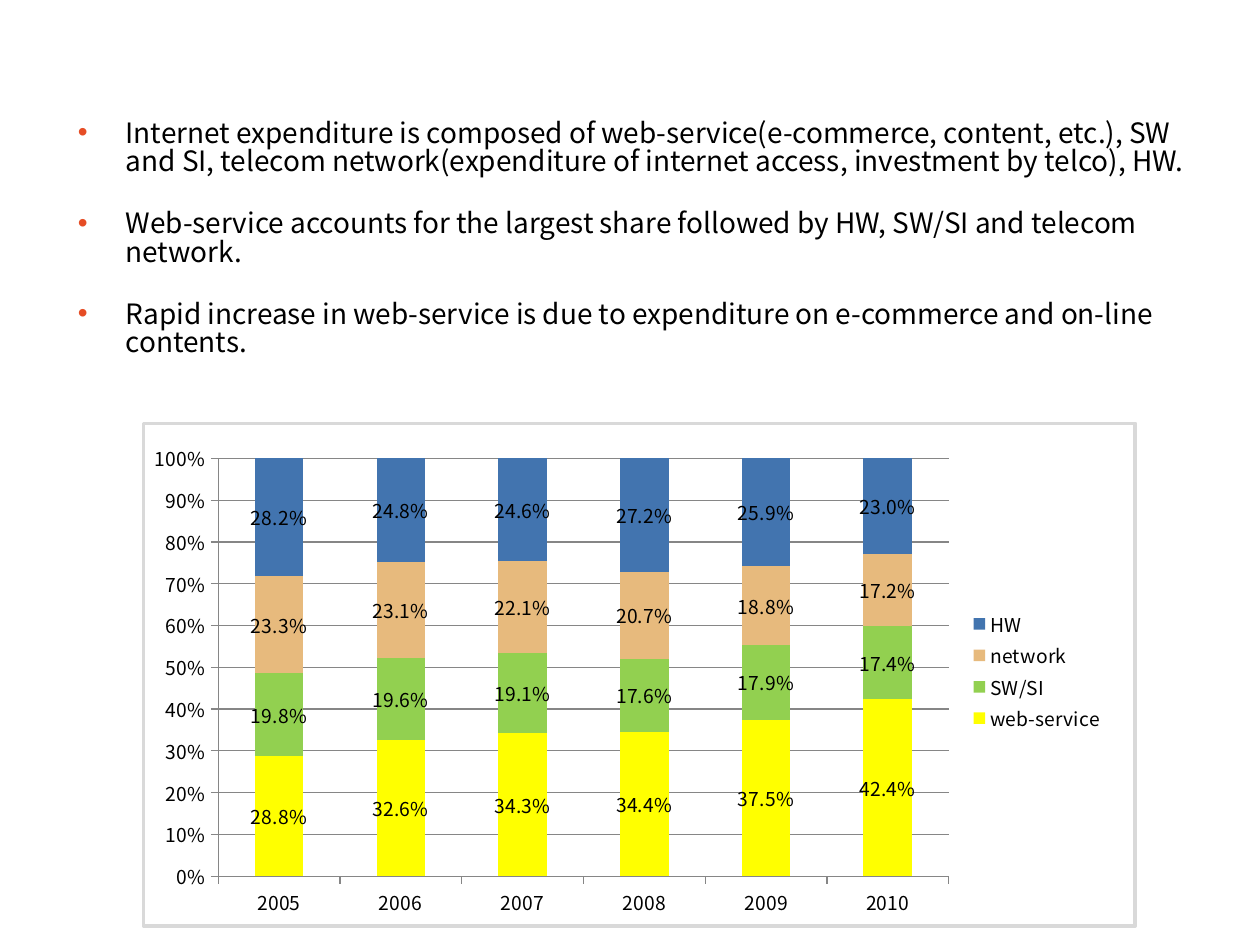
from dataclasses import dataclass

from lxml import etree
from pptx import Presentation
from pptx.chart.data import CategoryChartData
from pptx.dml.color import RGBColor
from pptx.enum.chart import XL_CHART_TYPE, XL_LEGEND_POSITION, XL_TICK_MARK
from pptx.enum.shapes import MSO_SHAPE
from pptx.oxml import parse_xml
from pptx.oxml.ns import nsdecls, qn
from pptx.util import Inches, Pt

STACKED_100 = XL_CHART_TYPE.COLUMN_STACKED_100
LEGEND_RIGHT = XL_LEGEND_POSITION.RIGHT
TICK_OUTSIDE = XL_TICK_MARK.OUTSIDE
TICK_NONE = XL_TICK_MARK.NONE
RECTANGLE = MSO_SHAPE.RECTANGLE


@dataclass(frozen=True)
class Theme:
    font: str = "Noto Sans CJK KR"
    body_size: int = 16
    chart_size: int = 11
    text: str = "000000"
    bullet: str = "E64D25"
    panel: str = "FFFFFF"
    border: str = "D9D9D9"
    axis: str = "868686"


THEME = Theme()

POINTS = [
    "Internet expenditure is composed of web-service(e-commerce, content, etc.), SW "
    "and SI, telecom network(expenditure of internet access, investment by telco), HW.",
    "Web-service accounts for the largest share followed by HW, SW/SI and telecom network.",
    "Rapid increase in web-service is due to expenditure on e-commerce and on-line contents.",
]
YEARS = ["2005", "2006", "2007", "2008", "2009", "2010"]
SHARES = [
    ("web-service", "FFFF00", (0.288, 0.326, 0.343, 0.344, 0.375, 0.424)),
    ("SW/SI", "92D050", (0.198, 0.196, 0.191, 0.176, 0.179, 0.174)),
    ("network", "E7BA7D", (0.233, 0.231, 0.221, 0.207, 0.188, 0.172)),
    ("HW", "4274AF", (0.282, 0.248, 0.246, 0.272, 0.259, 0.23)),
]


def rgb(value):
    return RGBColor.from_string(value)


def set_attrs(target, values):
    for name, value in values.items():
        setattr(target, name, value)


def set_font(font, size):
    set_attrs(font, {"name": THEME.font, "size": Pt(size)})
    font.color.rgb = rgb(THEME.text)


def add_panel(slide, box):
    s = slide.shapes.add_shape(RECTANGLE, *map(Inches, box))
    s.shadow.inherit = False
    s.fill.solid()
    s.fill.fore_color.rgb = rgb(THEME.panel)
    s.line.color.rgb = rgb(THEME.border)
    s.line.width = Pt(2)


def set_bullet(p, indent):
    pPr = p._p.get_or_add_pPr()
    pPr.set("marL", str(Inches(indent)))
    pPr.set("indent", str(-Inches(indent)))
    color = etree.SubElement(pPr, qn("a:buClr"))
    etree.SubElement(color, qn("a:srgbClr"), val=THEME.bullet)
    etree.SubElement(pPr, qn("a:buFont"), typeface="Arial")
    etree.SubElement(pPr, qn("a:buChar"), char="•")


def add_bullets(slide, box, lines):
    tf = slide.shapes.add_textbox(*map(Inches, box)).text_frame
    tf.word_wrap = True
    for i, line in enumerate(lines):
        p = tf.add_paragraph() if i else tf.paragraphs[0]
        set_attrs(p, {"line_spacing": 0.84, "space_before": Pt(9.7), "space_after": Pt(9.7)})
        set_bullet(p, 0.38)
        r = p.add_run()
        r.text = line
        set_font(r.font, THEME.body_size)
        etree.SubElement(r._r.get_or_add_rPr(), qn("a:ea"), typeface=THEME.font)


def manual_layout(x, y, w, h, inner=False):
    target = '<c:layoutTarget val="inner"/>' if inner else ""
    return parse_xml(
        f'<c:layout {nsdecls("c")}><c:manualLayout>{target}'
        '<c:xMode val="edge"/><c:yMode val="edge"/>'
        f'<c:x val="{x}"/><c:y val="{y}"/><c:w val="{w}"/><c:h val="{h}"/>'
        "</c:manualLayout></c:layout>")


def place_plot(chart, *area):
    plot_area = chart._chartSpace.chart.plotArea
    for old in plot_area.findall(qn("c:layout")):
        plot_area.remove(old)
    plot_area.insert(0, manual_layout(*area, inner=True))


def place_legend(chart, *area):
    set_attrs(chart, {"has_legend": True})
    legend = chart.legend
    set_attrs(legend, {"position": LEGEND_RIGHT, "include_in_layout": False})
    element = legend._element
    for old in element.findall(qn("c:layout")):
        element.remove(old)
    element.find(qn("c:legendPos")).addnext(manual_layout(*area))


def style_axes(chart):
    value_axis = chart.value_axis
    set_attrs(value_axis, {"minimum_scale": 0, "maximum_scale": 1, "major_unit": 0.1,
                           "has_major_gridlines": True})
    set_attrs(value_axis.tick_labels,
              {"number_format": "0%", "number_format_is_linked": False})
    for axis in (value_axis, chart.category_axis):
        set_attrs(axis, {"major_tick_mark": TICK_OUTSIDE, "minor_tick_mark": TICK_NONE})
    for line in (value_axis.format.line, chart.category_axis.format.line,
                 value_axis.major_gridlines.format.line):
        line.color.rgb = rgb(THEME.axis)
        line.width = Pt(0.75)


def add_share_chart(slide, box):
    data = CategoryChartData(number_format="0.0%")
    data.categories = YEARS
    for name, _, values in SHARES:
        data.add_series(name, values)
    chart = slide.shapes.add_chart(STACKED_100, *map(Inches, box), data).chart
    chart.has_title = False
    set_font(chart.font, THEME.chart_size)

    # Columns and value labels
    plot = chart.plots[0]
    set_attrs(plot, {"gap_width": 150, "overlap": 100, "vary_by_categories": False,
                     "has_data_labels": True})
    set_attrs(plot.data_labels, {"show_value": True, "number_format": "0.0%",
                                 "number_format_is_linked": False})
    set_font(plot.data_labels.font, THEME.chart_size)
    for series, (_, color, _) in zip(plot.series, SHARES):
        series.format.fill.solid()
        series.format.fill.fore_color.rgb = rgb(color)

    # Axes, plot area and legend
    style_axes(chart)
    place_plot(chart, 0.067, 0.052, 0.759, 0.87)
    place_legend(chart, 0.845, 0.36, 0.145, 0.27)


def main():
    prs = Presentation()
    set_attrs(prs, {"slide_width": Inches(10), "slide_height": Inches(7.5)})
    slide = prs.slides.add_slide(prs.slide_layouts[6])
    # Framed panel behind the chart
    add_panel(slide, (1.14, 3.36, 7.87, 3.99))
    # Key points
    add_bullets(slide, (0.52, 0.91, 9.12, 2.52), POINTS)
    # Expenditure shares by year
    add_share_chart(slide, (1.22, 3.44, 7.64, 3.83))
    prs.save("out.pptx")


main()
